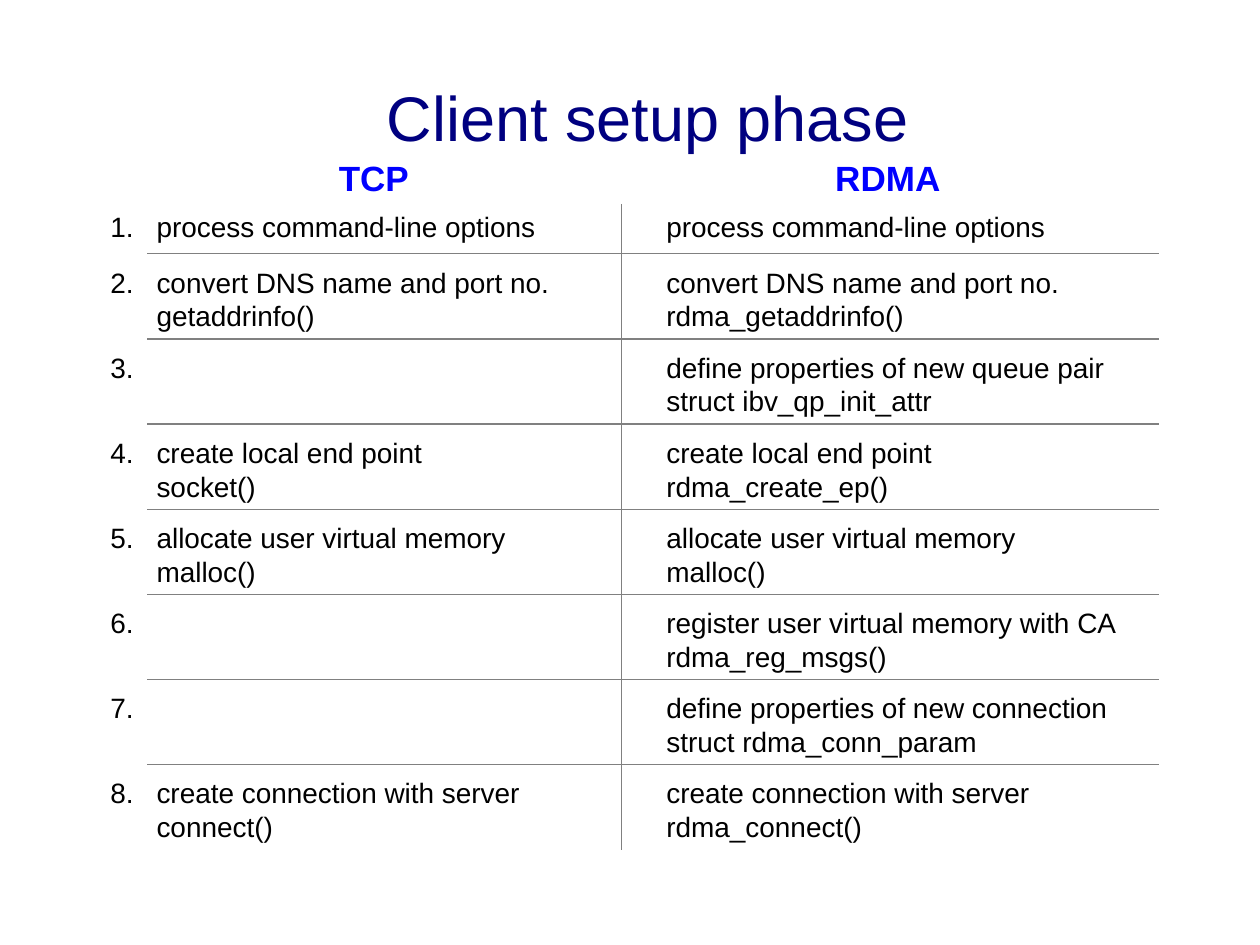
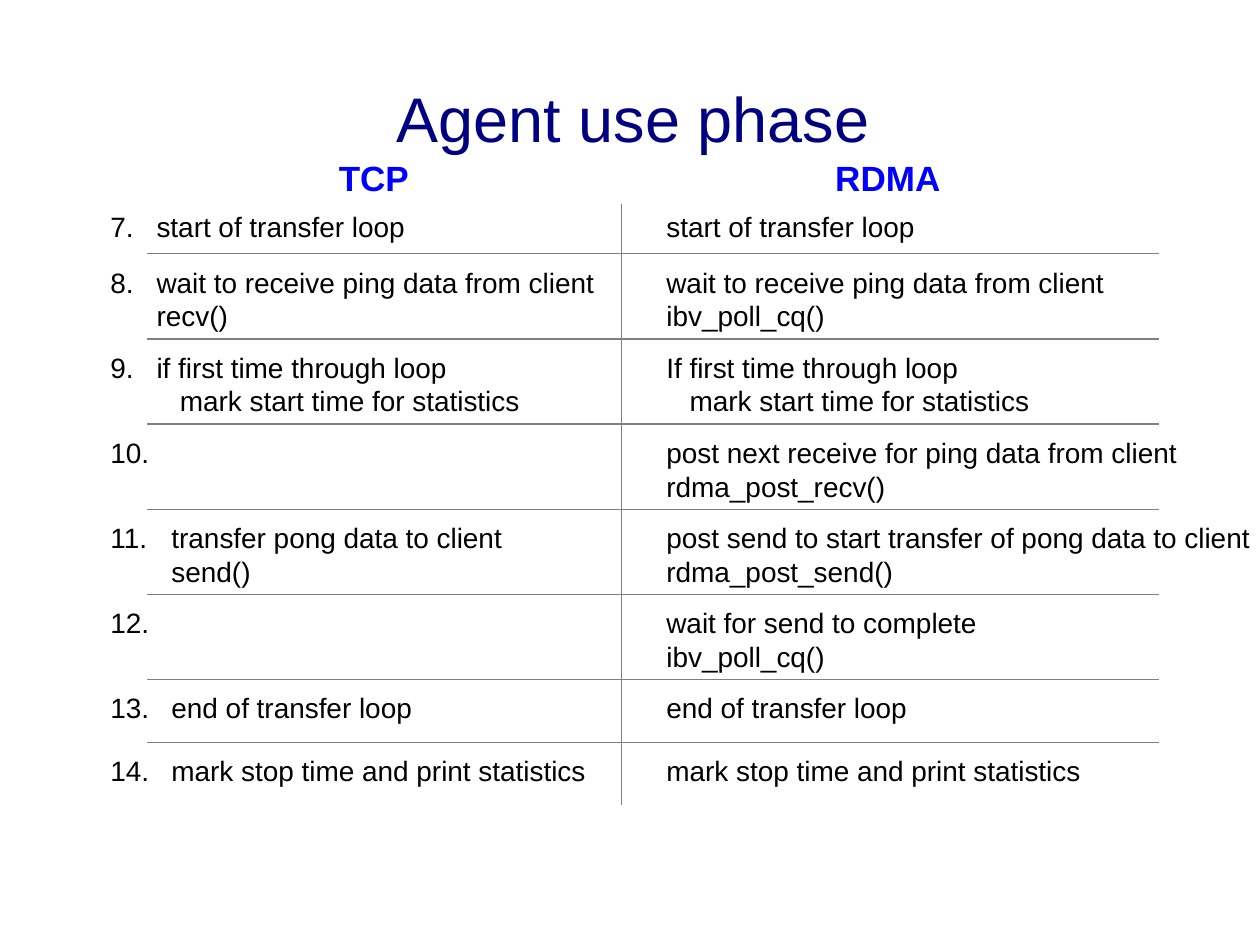
from pptx import Presentation
from pptx.dml.color import RGBColor
from pptx.enum.shapes import MSO_CONNECTOR
from pptx.enum.text import MSO_ANCHOR, MSO_AUTO_SIZE, PP_ALIGN
from pptx.util import Pt
from lxml.etree import SubElement
from pptx.oxml.ns import qn

NAVY = RGBColor(0x00, 0x00, 0x80)
BLUE = RGBColor(0x00, 0x00, 0xFF)
BLACK = RGBColor(0x00, 0x00, 0x00)
GRAY = RGBColor(0x80, 0x80, 0x80)
FONT = "Arial"

TABLE_LEFT, TABLE_TOP = 56, 113
DIVIDER_X, RDMA_X, SLIDE_RIGHT = 355, 373.7, 720
RULE_LEFT, RULE_RIGHT = 84.2, 662.4
OPENING_ROW, SINGLE_ROW, DOUBLE_ROW = 32, 36, 48.65
ROW_PAD = 3
NESTING = 13.3

CLIENT_STEPS = [
    (["process command-line options"], ["process command-line options"]),
    (["convert DNS name and port no.", "getaddrinfo()"],
     ["convert DNS name and port no.", "rdma_getaddrinfo()"]),
    ([], ["define properties of new queue pair", "struct ibv_qp_init_attr"]),
    (["create local end point", "socket()"],
     ["create local end point", "rdma_create_ep()"]),
    (["allocate user virtual memory", "malloc()"],
     ["allocate user virtual memory", "malloc()"]),
    ([], ["register user virtual memory with CA", "rdma_reg_msgs()"]),
    ([], ["define properties of new connection", "struct rdma_conn_param"]),
    (["create connection with server", "connect()"],
     ["create connection with server", "rdma_connect()"]),
]
AGENT_STEPS = [
    (["start of transfer loop"], ["start of transfer loop"]),
    (["wait to receive ping data from client", "recv()"],
     ["wait to receive ping data from client", "ibv_poll_cq()"]),
    (["if first time through loop", "mark start time for statistics"],
     ["If first time through loop", "mark start time for statistics"]),
    ([], ["post next receive for ping data from client", "rdma_post_recv()"]),
    (["transfer pong data to client", "send()"],
     ["post send to start transfer of pong data to client",
      "rdma_post_send()"]),
    ([], ["wait for send to complete", "ibv_poll_cq()"]),
    (["end of transfer loop"], ["end of transfer loop"]),
    (["mark stop time and print statistics"],
     ["mark stop time and print statistics"]),
]


def set_font(paragraph, size, color, bold=False):
    font = paragraph.font
    font.name, font.size, font.bold = FONT, Pt(size), bold
    font.color.rgb = color


def add_title(slide, text, left, top):
    title = slide.shapes.title
    title.left, title.top = Pt(left), Pt(top)
    title.width, title.height = Pt(405), Pt(50.4)
    frame = title.text_frame
    frame.auto_size = MSO_AUTO_SIZE.NONE
    frame.vertical_anchor = MSO_ANCHOR.TOP
    frame.text = text
    heading = frame.paragraphs[0]
    heading.alignment = PP_ALIGN.LEFT
    set_font(heading, 36, NAVY)


def add_text(slide, lines, left, top, width, height):
    box = slide.shapes.add_textbox(Pt(left), Pt(top), Pt(width), Pt(height))
    frame = box.text_frame
    frame.word_wrap = True
    frame.margin_right = 0
    frame.text = "\n".join(lines)
    return frame.paragraphs


def add_line(slide, x1, y1, x2, y2):
    line = slide.shapes.add_connector(
        MSO_CONNECTOR.STRAIGHT, Pt(x1), Pt(y1), Pt(x2), Pt(y2))
    line.line.color.rgb = GRAY
    line.line.width = Pt(0.75)
    SubElement(line._element.spPr, qn("a:effectLst"))


def add_cell(slide, lines, left, top, width, number=None):
    hang = 0 if number is None else 26.4 if number < 10 else 34.9
    if number is not None:
        first = f"{number}.\t{lines[0]}" if lines else f"{number}."
        lines = [first, *lines[1:]]
    height = 26 if len(lines) == 1 else 45.4
    for index, paragraph in enumerate(add_text(slide, lines, left, top, width, height)):
        properties = paragraph._p.get_or_add_pPr()
        if index == 0 and hang:
            tabs = SubElement(properties, qn("a:tabLst"))
            SubElement(tabs, qn("a:tab"), pos=str(Pt(hang)), algn="l")
        elif index:
            nesting = NESTING if paragraph.text.startswith("mark") else 0
            properties.set("marL", str(Pt(hang + nesting)))
            properties.set("indent", "0")
        set_font(paragraph, 16, BLACK)


def add_comparison(slide, steps, first_number, left, top):
    rdma_left = left + RDMA_X - TABLE_LEFT
    divider = left + DIVIDER_X - TABLE_LEFT
    rule_left = left + RULE_LEFT - TABLE_LEFT
    rule_right = left + RULE_RIGHT - TABLE_LEFT

    for label, offset, width in (("TCP", 130.5, 70), ("RDMA", 414.2, 97)):
        set_font(add_text(slide, [label], left + offset, top - 27.3, width, 31)[0],
                 20, BLUE, True)

    y = top
    for index, (tcp, rdma) in enumerate(steps):
        if index:
            add_line(slide, rule_left, y, rule_right, y)
        add_cell(slide, tcp, left, y + ROW_PAD, divider - left, first_number + index)
        add_cell(slide, rdma, rdma_left, y + ROW_PAD, SLIDE_RIGHT - rdma_left)
        if index == 0:
            y += OPENING_ROW
        else:
            y += DOUBLE_ROW if len(rdma) == 2 else SINGLE_ROW
    add_line(slide, divider, top + ROW_PAD + 0.5, divider, y)


def add_phase(deck, title, title_left, title_top, steps, first_number):
    slide = deck.slides.add_slide(deck.slide_layouts[5])
    add_title(slide, title, title_left, title_top)
    add_comparison(slide, steps, first_number, TABLE_LEFT, TABLE_TOP)


def main():
    deck = Presentation()
    deck.slide_width, deck.slide_height = Pt(720), Pt(540)
    add_phase(deck, "Client setup phase", 213.8, 41, CLIENT_STEPS, 1)
    add_phase(deck, "Agent use phase", 219.6, 41.8, AGENT_STEPS, 7)
    deck.save("out.pptx")


if __name__ == "__main__":
    main()
